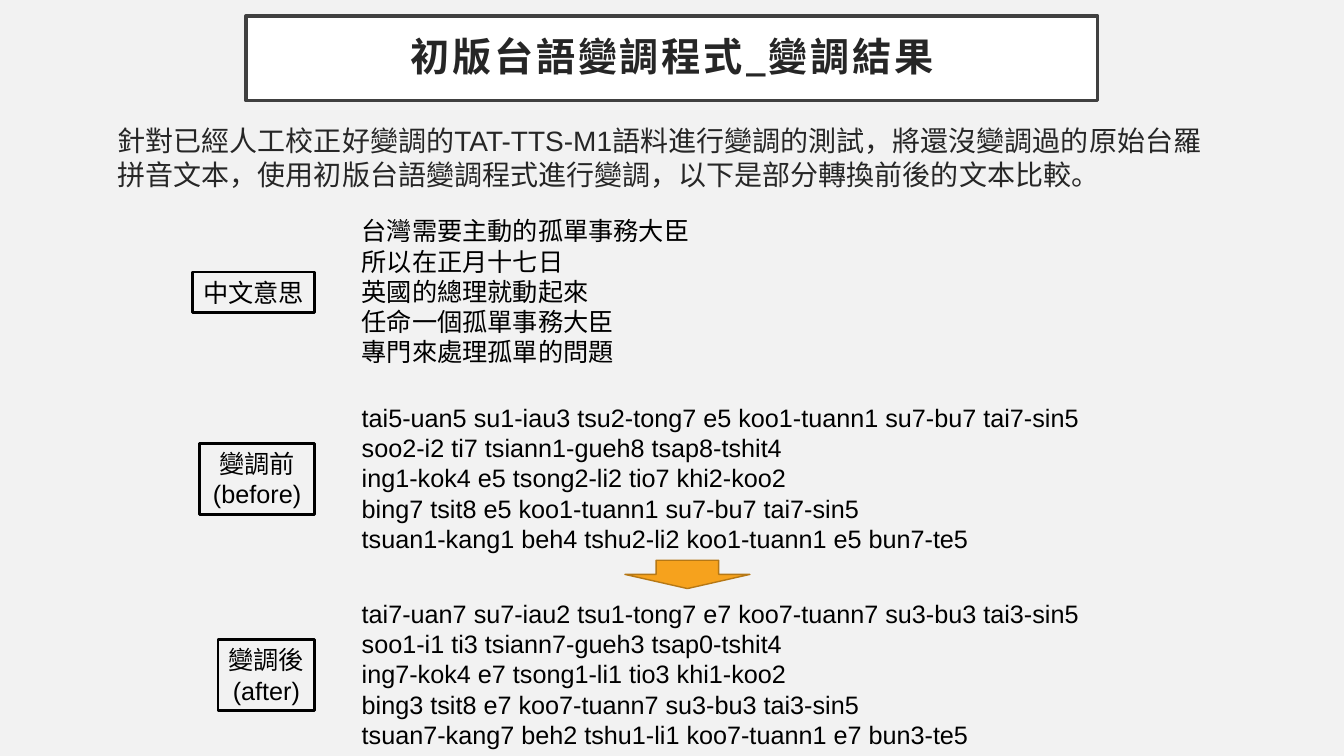
from pptx import Presentation
from pptx.dml.color import RGBColor
from pptx.enum.shapes import MSO_SHAPE as Kind
from pptx.enum.text import MSO_ANCHOR as Anchor, PP_ALIGN as Align
from pptx.util import Pt


def color(code):
    return RGBColor.from_string(code)


class Page:
    ink, dark = "000000", "262626"
    font, size = "Arial", 18

    def __init__(self, deck, back):
        self.slide = deck.slides.add_slide(deck.slide_layouts[6])
        fill = self.slide.background.fill
        fill.solid()
        fill.fore_color.rgb = color(back)

    def put(self, shape, text, size=None, font=None, ink=None,
            bold=False, align=Align.LEFT, wrap=True):
        frame = shape.text_frame
        frame.text = text
        frame.word_wrap = wrap
        for para in frame.paragraphs:
            para.alignment = align
            for run in para.runs:
                run.font.size = Pt(size or self.size)
                run.font.name = font or self.font
                run.font.bold = bold
                run.font.color.rgb = color(ink or self.ink)
        return frame

    def text(self, box, text, **style):
        shape = self.slide.shapes.add_textbox(*map(Pt, box))
        return self.put(shape, text, **style)

    def shape(self, kind, box, line, width, fill=None):
        shape = self.slide.shapes.add_shape(kind, *map(Pt, box))
        shape.shadow.inherit = False
        shape.line.color.rgb = color(line)
        shape.line.width = Pt(width)
        if fill:
            shape.fill.solid()
            shape.fill.fore_color.rgb = color(fill)
        else:
            shape.fill.background()
        return shape

    def label(self, box, text):
        shape = self.shape(Kind.RECTANGLE, box, self.ink, 2)
        frame = self.put(shape, text, align=Align.CENTER, wrap=False)
        frame.vertical_anchor = Anchor.MIDDLE


deck = Presentation()
deck.slide_width, deck.slide_height = Pt(960), Pt(540)
page = Page(deck, "F2F2F2")

# Title
title = page.shape(Kind.RECTANGLE, (175.7, 11.5, 608.4, 60.5),
                   "404040", 2.5, "FFFFFF")
frame = page.put(title, "初版台語變調程式_變調結果", size=28, font="Calibri",
                 ink=page.dark, bold=True, align=Align.CENTER)
frame.vertical_anchor = Anchor.MIDDLE
frame.margin_left = frame.margin_right = Pt(14.4)
frame.margin_top = frame.margin_bottom = Pt(14.4)
head = frame.paragraphs[0]
head.line_spacing = 0.9
head.runs[0].font._element.set("spc", "200")

# Introduction
intro = page.text(
    (77, 85, 806.4, 60.5),
    "針對已經人工校正好變調的TAT-TTS-M1語料進行變調的測試，"
    "將還沒變調過的原始台羅拼音文本，使用初版台語變調程式進行變調，"
    "以下是部分轉換前後的文本比較。",
    size=20, ink=page.dark)
intro.paragraphs[0].space_before = Pt(10)

# Text blocks, each with a label centred beside it
LEFT, WIDE, TALL, EDGE = 251.3, 569.5, 116.6, 224.8
blocks = [
    (150.5, "中文意思", 87.3, 29.1, "Calibri", [
        "台灣需要主動的孤單事務大臣",
        "所以在正月十七日",
        "英國的總理就動起來",
        "任命一個孤單事務大臣",
        "專門來處理孤單的問題"]),
    (283.7, "變調前\n(before)", 82.3, 50.9, "Arial", [
        "tai5-uan5 su1-iau3 tsu2-tong7 e5 koo1-tuann1 su7-bu7 tai7-sin5",
        "soo2-i2 ti7 tsiann1-gueh8 tsap8-tshit4",
        "ing1-kok4 e5 tsong2-li2 tio7 khi2-koo2",
        "bing7 tsit8 e5 koo1-tuann1 su7-bu7 tai7-sin5",
        "tsuan1-kang1 beh4 tshu2-li2 koo1-tuann1 e5 bun7-te5"]),
    (423.8, "變調後\n(after)", 69, 50.9, "Arial", [
        "tai7-uan7 su7-iau2 tsu1-tong7 e7 koo7-tuann7 su3-bu3 tai3-sin5",
        "soo1-i1 ti3 tsiann7-gueh3 tsap0-tshit4",
        "ing7-kok4 e7 tsong1-li1 tio3 khi1-koo2",
        "bing3 tsit8 e7 koo7-tuann7 su3-bu3 tai3-sin5",
        "tsuan7-kang7 beh2 tshu1-li1 koo7-tuann1 e7 bun3-te5"]),
]
for top, name, wide, tall, font, lines in blocks:
    page.text((LEFT, top, WIDE, TALL), "\n".join(lines), font=font)
    page.label((EDGE - wide, top + (TALL - tall) / 2, wide, tall), name)

# Arrow from before to after
page.shape(Kind.DOWN_ARROW, (446.4, 400.2, 89.3, 20.2), "B67815", 1, "F6A21D")

deck.save("out.pptx")
